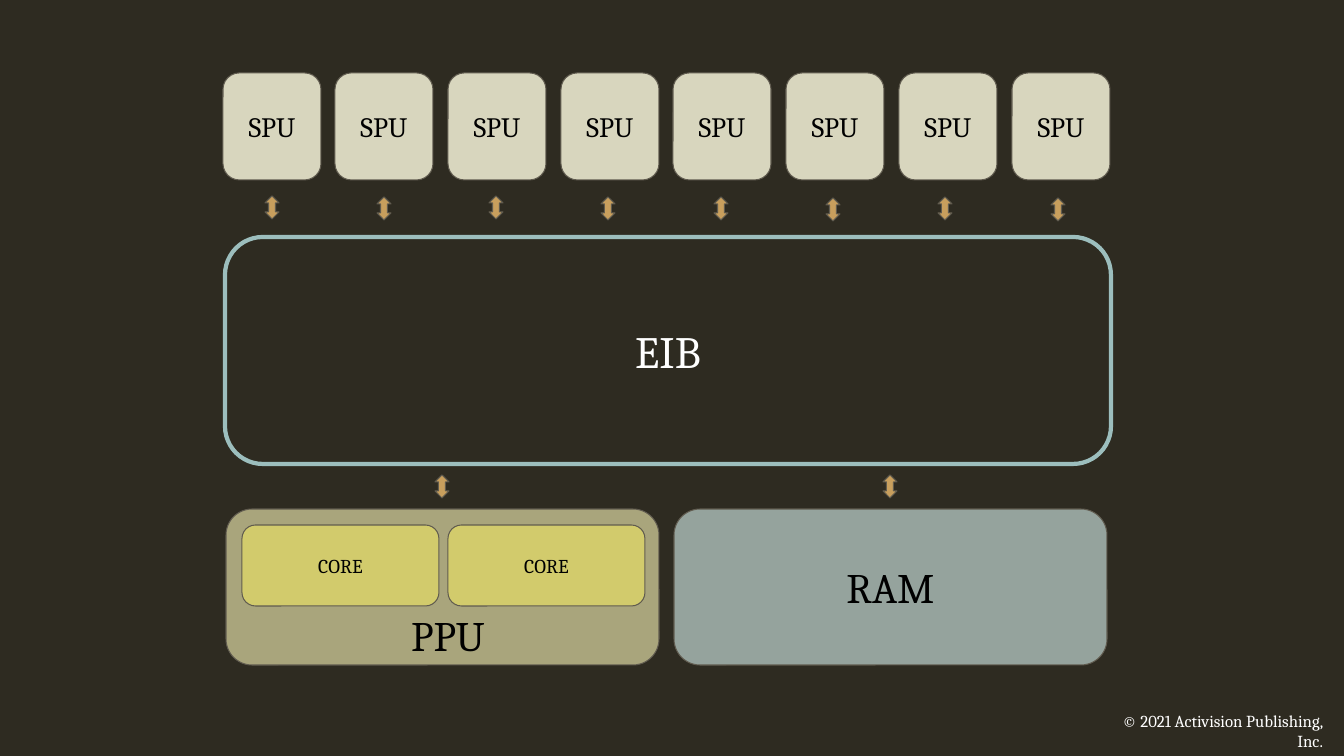
from dataclasses import dataclass

from pptx import Presentation
from pptx.dml.color import RGBColor
from pptx.enum.shapes import MSO_SHAPE
from pptx.enum.text import MSO_ANCHOR, PP_ALIGN
from pptx.util import Emu, Pt

ROUND = MSO_SHAPE.ROUNDED_RECTANGLE
ARROW = MSO_SHAPE.UP_DOWN_ARROW
CENTER, RIGHT = PP_ALIGN.CENTER, PP_ALIGN.RIGHT
TOP, MIDDLE = MSO_ANCHOR.TOP, MSO_ANCHOR.MIDDLE

SCALE = 914400 / 100.8  # EMU in one px
FONT = "Cambria"
COLORS = {
    "back": "2E2B21", "edge": "605B4F", "white": "FFFFFF", "black": "000000",
    "spu": "D8D6BE", "bus": "9CBEBD", "arrow": "C89F5D",
    "ppu": "A9A57C", "core": "D2CB6C", "ram": "95A39D",
}


@dataclass
class Block:
    label: str
    left: int
    top: int
    width: int
    height: int
    fill: str = ""
    size: int = 20
    ink: str = "black"
    edge: str = "edge"
    weight: float = 0.75


def px(count: int) -> Emu:
    return Emu(round(count * SCALE))


def color(name: str) -> RGBColor:
    return RGBColor.from_string(COLORS[name])


def write(shape, text: str, *, size: int, ink: str, align=CENTER,
          anchor=MIDDLE, inset: int = 0, wrap: bool = True) -> None:
    frame = shape.text_frame
    frame.word_wrap = wrap
    frame.vertical_anchor = anchor
    frame.margin_left = frame.margin_right = px(inset)
    frame.margin_top = frame.margin_bottom = px(inset)
    line = frame.paragraphs[0]
    line.alignment = align
    run = line.add_run()
    run.text = text
    run.font.name = FONT
    run.font.size = Pt(size)
    run.font.color.rgb = color(ink)


def draw(slide, block: Block, kind=ROUND) -> None:
    shape = slide.shapes.add_shape(kind, px(block.left), px(block.top),
                                   px(block.width), px(block.height))
    shape.shadow.inherit = False
    if block.fill:
        shape.fill.solid()
        shape.fill.fore_color.rgb = color(block.fill)
    else:
        shape.fill.background()
    shape.line.color.rgb = color(block.edge)
    shape.line.width = Pt(block.weight)
    if block.label:
        write(shape, block.label, size=block.size, ink=block.ink)


def note(slide, text: str, left: int, top: int, width: int, height: int,
         **form) -> None:
    box = slide.shapes.add_textbox(px(left), px(top), px(width), px(height))
    write(box, text, inset=10, **form)


def main() -> None:
    deck = Presentation()
    deck.slide_width, deck.slide_height = px(1344), px(756)
    slide = deck.slides.add_slide(deck.slide_layouts[6])
    slide.background.fill.solid()
    slide.background.fill.fore_color.rgb = color("back")

    # Row of eight SPUs, spread evenly, and the bus below them
    blocks = [Block("SPU", 223 + 789 * i // 7, 73, 98, 107, "spu")
              for i in range(8)]
    blocks.append(Block("EIB", 225, 237, 886, 227, size=32, ink="white",
                        edge="bus", weight=3))

    # Processor with two cores, and memory
    blocks.append(Block("", 226, 509, 433, 156, "ppu"))
    blocks += [Block("CORE", left, 525, 197, 81, "core", 14)
               for left in (242, 448)]
    blocks.append(Block("RAM", 674, 509, 433, 156, "ram", 30))
    for block in blocks:
        draw(slide, block)

    # Arrows between the bus and its neighbours
    spots = [(265 + 786 * i // 7, 196 + i % 2 + i // 4) for i in range(8)]
    spots += [(435, 475), (883, 475)]
    for left, top in spots:
        draw(slide, Block("", left, top, 14, 23, "arrow"), ARROW)

    # Free labels
    note(slide, "PPU", 382, 599, 132, 72, size=30, ink="black")
    note(slide, "© 2021 Activision Publishing, Inc.", 1087, 701, 246, 40,
         size=12, ink="white", align=RIGHT, anchor=TOP)

    deck.save("out.pptx")


if __name__ == "__main__":
    main()
